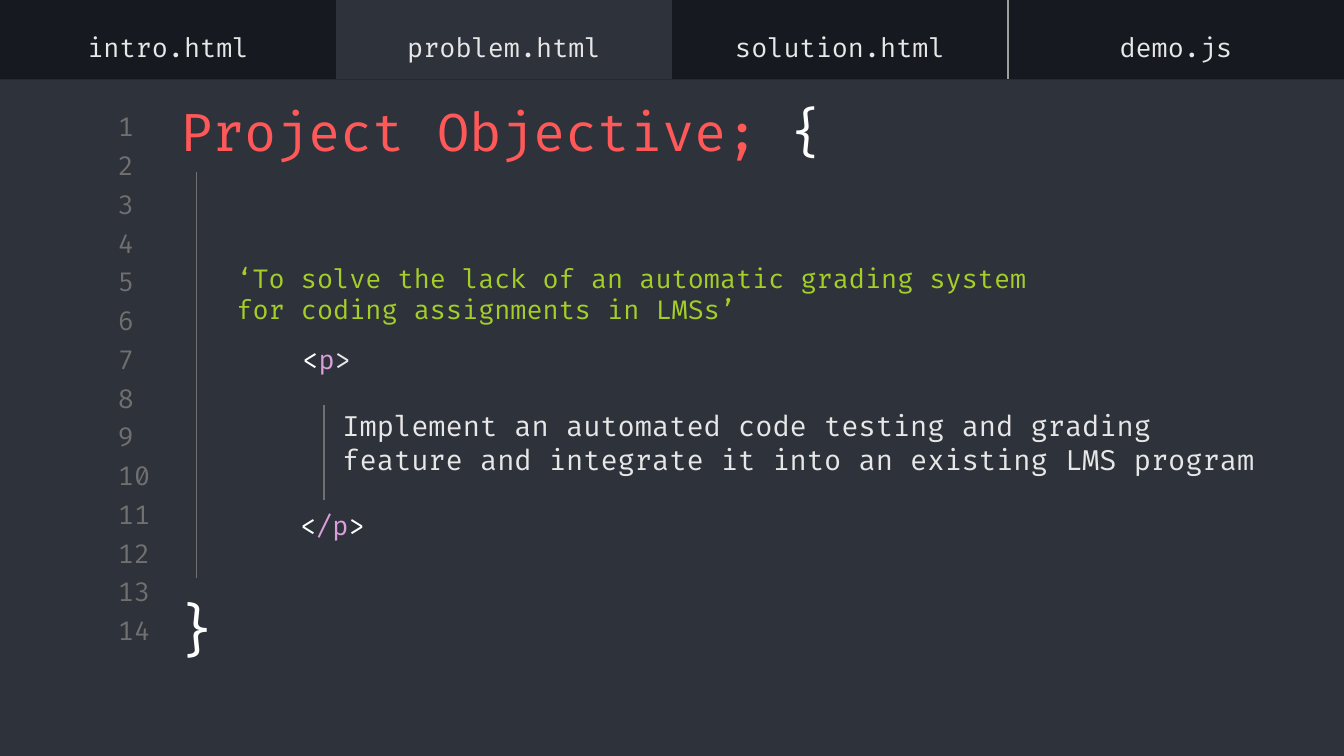
"""Build the project objective slide, styled as a code editor."""
from lxml.etree import SubElement
from pptx import Presentation
from pptx.dml.color import RGBColor
from pptx.enum.shapes import MSO_CONNECTOR, MSO_SHAPE
from pptx.enum.text import MSO_ANCHOR, MSO_AUTO_SIZE, PP_ALIGN
from pptx.oxml.ns import qn
from pptx.util import Inches, Pt

DARK = RGBColor(0x16, 0x19, 0x1F)
PANEL = RGBColor(0x2E, 0x32, 0x3B)
GRAY = RGBColor(0x70, 0x70, 0x70)
RULE = RGBColor(0x9E, 0x9E, 0x9E)
LIGHT = RGBColor(0xE7, 0xE7, 0xE7)
WHITE = RGBColor(0xFF, 0xFF, 0xFF)
RED = RGBColor(0xFF, 0x58, 0x58)
GREEN = RGBColor(0xA5, 0xCF, 0x27)
PINK = RGBColor(0xDB, 0xA0, 0xDB)


def write(para, parts, size, align=PP_ALIGN.LEFT):
    para.alignment = align
    for text, color in parts:
        run = para.add_run()
        run.text = text
        run.font.name = "Fira Code"
        run.font.size = Pt(size)
        run.font.color.rgb = color


def setup(shape, box, anchor=MSO_ANCHOR.MIDDLE):
    shape.left, shape.top, shape.width, shape.height = map(Inches, box)
    frame = shape.text_frame
    frame.word_wrap = True
    frame.auto_size = MSO_AUTO_SIZE.NONE
    frame.vertical_anchor = anchor
    frame.margin_left = frame.margin_right = Inches(0.1)
    frame.margin_top = frame.margin_bottom = Inches(0.1)
    return frame


deck = Presentation()
deck.slide_width = Inches(10)
deck.slide_height = Inches(10) * 9 // 16
slide = deck.slides.add_slide(deck.slide_layouts[1])
slide.background.fill.solid()
slide.background.fill.fore_color.rgb = DARK
shapes = slide.shapes
title, body = slide.placeholders

for spot, (top, height) in enumerate(((0.59, 4.44), (4.98, 0.65)), 2):
    panel = shapes.add_shape(
        MSO_SHAPE.RECTANGLE, 0, Inches(top), Inches(10), Inches(height))
    panel.shadow.inherit = False
    panel.fill.solid()
    panel.fill.fore_color.rgb = PANEL
    panel.line.fill.background()
    shapes._spTree.insert(spot, panel._element)

for row in range(14):
    label = shapes.add_textbox(0, 0, 0, 0)
    frame = setup(label, (0.78, 0.82 + row * 3.75 / 13, 0.47, 0.24))
    write(frame.paragraphs[0], [(str(row + 1), GRAY)], 14)

frame = setup(title, (1.24, 0.68, 5, 0.58))
write(frame.paragraphs[0], [("Project Objective; ", RED), ("{", WHITE)], 28)

frame = setup(body, (1.66, 1.49, 6.31, 1.76))
goal = "‘To solve the lack of an automatic grading system for coding assignments in LMSs’"
write(frame.paragraphs[0], [(goal, GREEN)], 14)
write(frame.add_paragraph(), [("<", WHITE), ("p", PINK), (">", LIGHT)], 14)
for para, indent, gap in zip(frame.paragraphs, (0, 0.49), (0, 10)):
    para.space_before = Pt(gap)
    props = para._p.get_or_add_pPr()
    props.set("marL", str(Inches(indent)))
    props.set("indent", "0")
    SubElement(props, qn("a:buNone"))

for x, top, end in ((1.46, 1.28, 4.3), (2.41, 3.01, 3.72)):
    guide = shapes.add_connector(
        MSO_CONNECTOR.STRAIGHT, Inches(x), Inches(top), Inches(x), Inches(end))
    guide.line.color.rgb = GRAY
    guide.line.width = Pt(0.75)
    SubElement(guide._element.spPr, qn("a:effectLst"))

task = ("Implement an automated code testing and grading feature "
        "and integrate it into an existing LMS program")
texts = (
    ((1.19, 4.32, 0.55, 0.71), [("}", WHITE)], 30, PP_ALIGN.CENTER, MSO_ANCHOR.TOP),
    ((2.11, 3.69, 0.73, 0.44), [("<", WHITE), ("/p", PINK), (">", WHITE)], 14,
     PP_ALIGN.CENTER, MSO_ANCHOR.TOP),
    ((2.45, 2.82, 7.16, 0.94), [(task, LIGHT)], 15, PP_ALIGN.LEFT, MSO_ANCHOR.MIDDLE),
)
for box, parts, size, align, anchor in texts:
    frame = setup(shapes.add_textbox(0, 0, 0, 0), box, anchor)
    write(frame.paragraphs[0], parts, size, align)

tabs = ("intro.html", "problem.html", "solution.html", "demo.js")
table = shapes.add_table(1, len(tabs), 0, 0, Inches(10), Inches(0.59)).table
table.first_row = table.horz_banding = False
for col, name in enumerate(tabs):
    cell = table.cell(0, col)
    cell.vertical_anchor = MSO_ANCHOR.BOTTOM
    cell.margin_left = cell.margin_right = Inches(0.1)
    cell.margin_top = cell.margin_bottom = Inches(0.1)
    write(cell.text_frame.paragraphs[0], [(name, LIGHT)], 14, PP_ALIGN.CENTER)
    props = cell._tc.get_or_add_tcPr()
    for side in "LRTB":
        edge = SubElement(props, qn("a:ln" + side), w=str(Pt(0.75)))
        if (col, side) in ((2, "R"), (3, "L")):
            fill = SubElement(edge, qn("a:solidFill"))
            SubElement(fill, qn("a:srgbClr"), val=str(RULE))
        else:
            SubElement(edge, qn("a:noFill"))
    if name == "problem.html":
        cell.fill.solid()
        cell.fill.fore_color.rgb = PANEL
    else:
        cell.fill.background()

deck.save("out.pptx")
